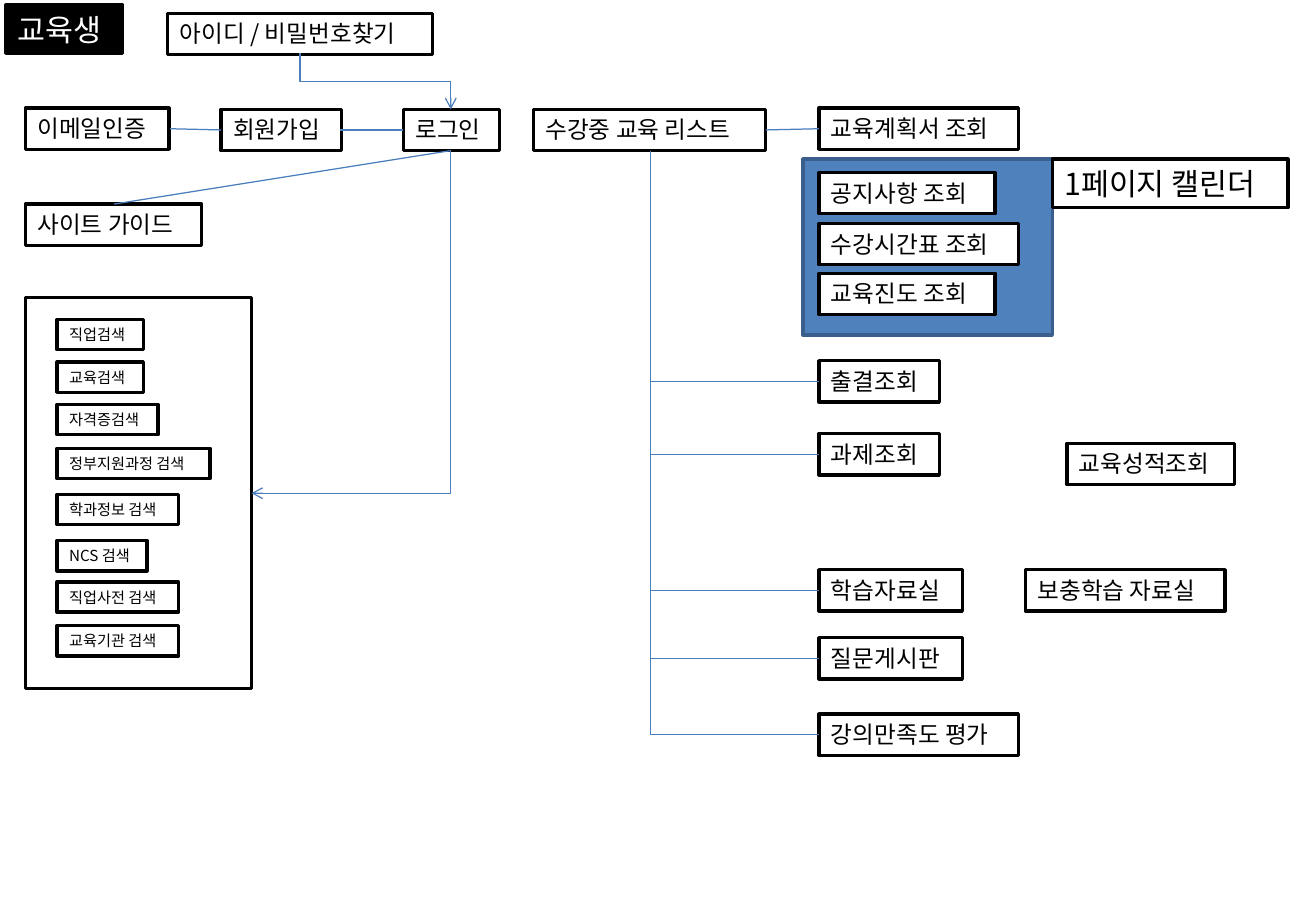
from typing import NamedTuple

from lxml import etree
from pptx import Presentation
from pptx.dml.color import RGBColor
from pptx.enum.shapes import MSO_CONNECTOR, MSO_SHAPE
from pptx.enum.text import MSO_AUTO_SIZE, PP_ALIGN
from pptx.oxml.ns import qn
from pptx.util import Inches, Pt

STRAIGHT, ELBOW = MSO_CONNECTOR.STRAIGHT, MSO_CONNECTOR.ELBOW
RECTANGLE = MSO_SHAPE.RECTANGLE
GROW = MSO_AUTO_SIZE.SHAPE_TO_FIT_TEXT
LEFT = PP_ALIGN.LEFT

FONT = "Noto Sans CJK KR"
BLACK, WHITE = "000000", "FFFFFF"
BLUE, DARK_BLUE, LINK_BLUE = "4F81BD", "3A5F8C", "4B7EBC"
HEIGHTS = {9: 0.25, 14: 0.34, 18: 0.4}  # box height by text size

SEARCH_LEFT = 0.47
MENU_LEFT = 6.74
LIST_CENTER, LOGIN_CENTER, FIND_CENTER = 5.35, 3.71, 2.47
ROW_BOTTOM = 1.24


class Label(NamedTuple):
    text: str
    left: float
    top: float
    width: float
    size: int = 14
    fill: str = WHITE
    color: str = BLACK


class Panel(NamedTuple):
    left: float
    top: float
    width: float
    height: float
    line: str
    fill: str | None = None


class Link(NamedTuple):
    x1: float
    y1: float
    x2: float
    y2: float
    preset: str = "line"
    arrow: bool = False


def rgb(value: str) -> RGBColor:
    return RGBColor.from_string(value)


def paint(shape, fill: str | None, line: str) -> None:
    if fill:
        shape.fill.solid()
        shape.fill.fore_color.rgb = rgb(fill)
    else:
        shape.fill.background()
    shape.line.color.rgb = rgb(line)
    shape.line.width = Pt(2)


def draw_panel(shapes, panel: Panel) -> None:
    box = shapes.add_shape(RECTANGLE, *map(Inches, panel[:4]))
    box.shadow.inherit = False
    paint(box, panel.fill, panel.line)


def draw_label(shapes, label: Label) -> None:
    box = shapes.add_textbox(Inches(label.left), Inches(label.top),
                             Inches(label.width), Inches(HEIGHTS[label.size]))
    paint(box, label.fill, BLACK)
    for name, value in {"word_wrap": False, "auto_size": GROW}.items():
        setattr(box.text_frame, name, value)
    para = box.text_frame.paragraphs[0]
    para.alignment = LEFT
    span = para.add_run()
    span.text = label.text
    span.font.color.rgb = rgb(label.color)
    for name, value in {"size": Pt(label.size), "name": FONT}.items():
        setattr(span.font, name, value)
    east_asian = etree.SubElement(span.font._element, qn("a:ea"))
    east_asian.set("typeface", FONT)


def draw_link(shapes, link: Link) -> None:
    x1, y1, x2, y2 = link[:4]
    if link.preset == "line":
        connector = shapes.add_connector(STRAIGHT, *map(Inches, link[:4]))
    else:
        # Elbows leave downwards: a frame turned a quarter about its centre
        center_x, center_y = (x1 + x2) / 2, (y1 + y2) / 2
        half_width, half_height = (y2 - y1) / 2, abs(x2 - x1) / 2
        side = half_width if x2 > x1 else -half_width
        ends = (center_x + side, center_y - half_height,
                center_x - side, center_y + half_height)
        connector = shapes.add_connector(ELBOW, *map(Inches, ends))
        properties = connector._element.spPr
        degrees = 270 if x2 > x1 else 90
        properties.find(qn("a:xfrm")).set("rot", str(degrees * 60000))
        properties.find(qn("a:prstGeom")).set("prst", link.preset)
    connector.line.color.rgb = rgb(LINK_BLUE)
    connector.line.width = Pt(0.75)
    if link.arrow:
        tail = etree.SubElement(connector.line._get_or_add_ln(), qn("a:tailEnd"))
        tail.set("type", "arrow")
    etree.SubElement(connector._element.spPr, qn("a:effectLst"))


CALENDAR_PANEL = Panel(6.61, 1.31, 2.05, 1.45, DARK_BLUE, BLUE)
SEARCH_PANEL = Panel(0.21, 2.45, 1.86, 3.22, BLACK)

ACCOUNT_LABELS = [
    Label("교육생", 0.05, 0.04, 0.96, 18, BLACK, WHITE),
    Label("아이디 / 비밀번호찾기", 1.38, 0.11, 2.18),
    Label("이메일인증", 0.21, 0.89, 1.18),
    Label("회원가입", 1.82, 0.9, 0.99),
    Label("로그인", 3.32, 0.9, 0.79),
    Label("사이트 가이드", 0.21, 1.68, 1.45),
    Label("수강중 교육 리스트", 4.39, 0.9, 1.91),
]
SEARCH_LABELS = [
    Label(text, SEARCH_LEFT, top, width, 9) for text, top, width in [
        ("직업검색", 2.63, 0.71),
        ("교육검색", 2.98, 0.71),
        ("자격증검색", 3.33, 0.83),
        ("정부지원과정 검색", 3.69, 1.26),
        ("학과정보 검색", 4.07, 1),
        ("NCS 검색", 4.45, 0.74),
        ("직업사전 검색", 4.79, 1),
        ("교육기관 검색", 5.15, 1),
    ]
]
OVERVIEW_LABELS = [
    Label(text, MENU_LEFT, top, width) for text, top, width in [
        ("교육계획서 조회", 0.89, 1.64),
        ("공지사항 조회", 1.42, 1.45),
        ("수강시간표 조회", 1.84, 1.64),
        ("교육진도 조회", 2.25, 1.45),
    ]
]
BRANCH_LABELS = [
    Label(text, MENU_LEFT, top, width) for text, top, width in [
        ("출결조회", 2.97, 0.99),
        ("과제조회", 3.57, 0.99),
        ("학습자료실", 4.69, 1.18),
        ("질문게시판", 5.25, 1.18),
        ("강의만족도 평가", 5.88, 1.64),
    ]
]
SIDE_LABELS = [
    Label("교육성적조회", 8.78, 3.65, 1.38),
    Label("보충학습 자료실", 8.44, 4.69, 1.64),
    Label("1페이지 캘린더", 8.66, 1.31, 1.94, 18),
]

LINKS = [
    Link(2.8, 1.07, 3.32, 1.07),
    Link(LOGIN_CENTER, ROW_BOTTOM, 0.94, 1.68),
    Link(1.4, 1.06, 1.82, 1.07),
    Link(6.3, 1.07, MENU_LEFT, 1.06),
    Link(LOGIN_CENTER, ROW_BOTTOM, 2.07, 4.06, "bentConnector2", True),
    Link(FIND_CENTER, 0.44, LOGIN_CENTER, 0.9, "bentConnector3", True),
] + [
    Link(LIST_CENTER, ROW_BOTTOM, MENU_LEFT,
         label.top + HEIGHTS[label.size] / 2, "bentConnector2")
    for label in BRANCH_LABELS
]

deck = Presentation()
deck.slide_width, deck.slide_height = Inches(10.83), Inches(7.5)
page = deck.slides.add_slide(deck.slide_layouts[6])

# Panels behind the labels
draw_panel(page.shapes, CALENDAR_PANEL)
draw_panel(page.shapes, SEARCH_PANEL)

# Search menu, kept together as one group
search_group = page.shapes.add_group_shape()
for label in SEARCH_LABELS:
    draw_label(search_group.shapes, label)

# Account and course labels
for label in ACCOUNT_LABELS + OVERVIEW_LABELS + BRANCH_LABELS + SIDE_LABELS:
    draw_label(page.shapes, label)

# Links between labels
for link in LINKS:
    draw_link(page.shapes, link)

deck.save("out.pptx")
